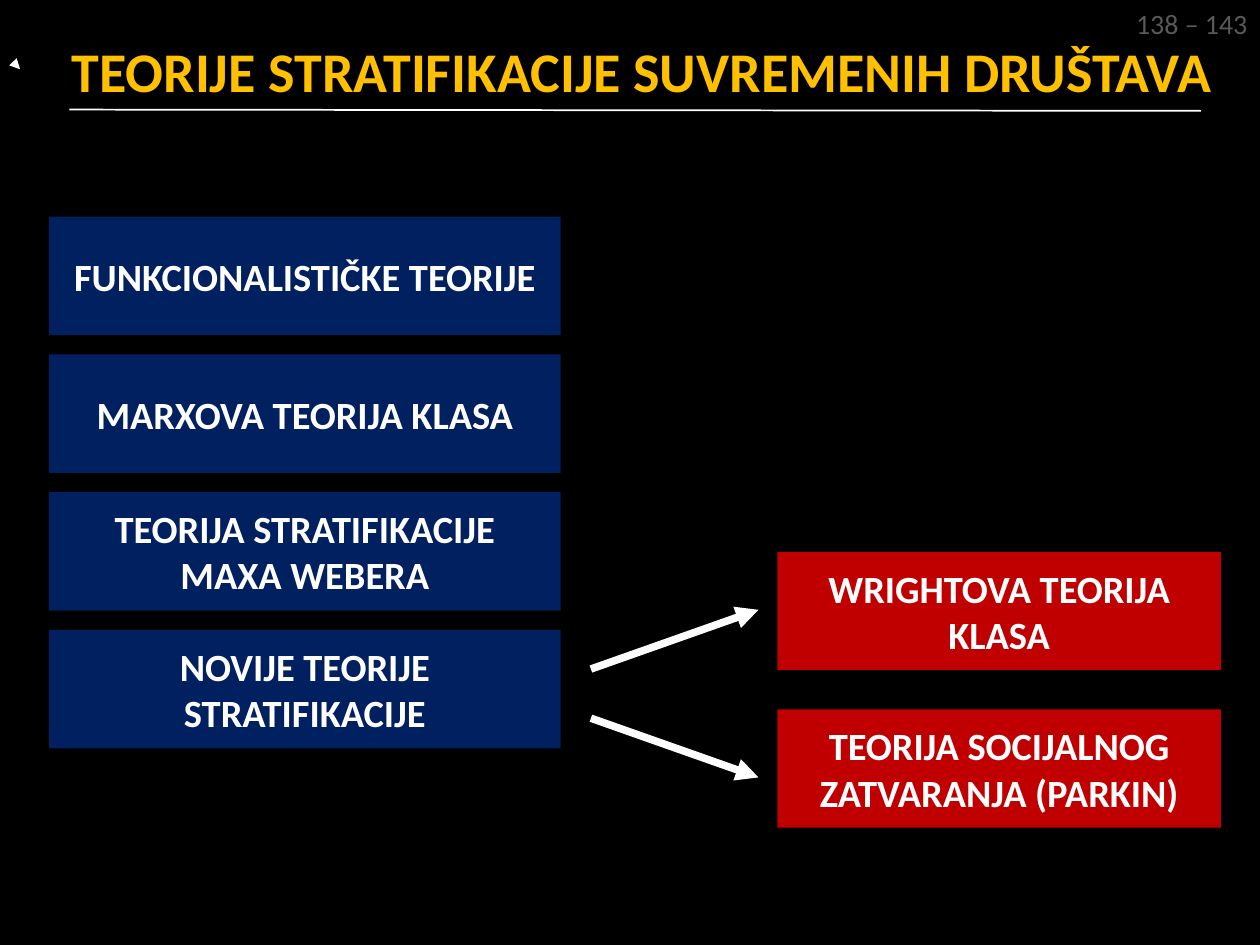
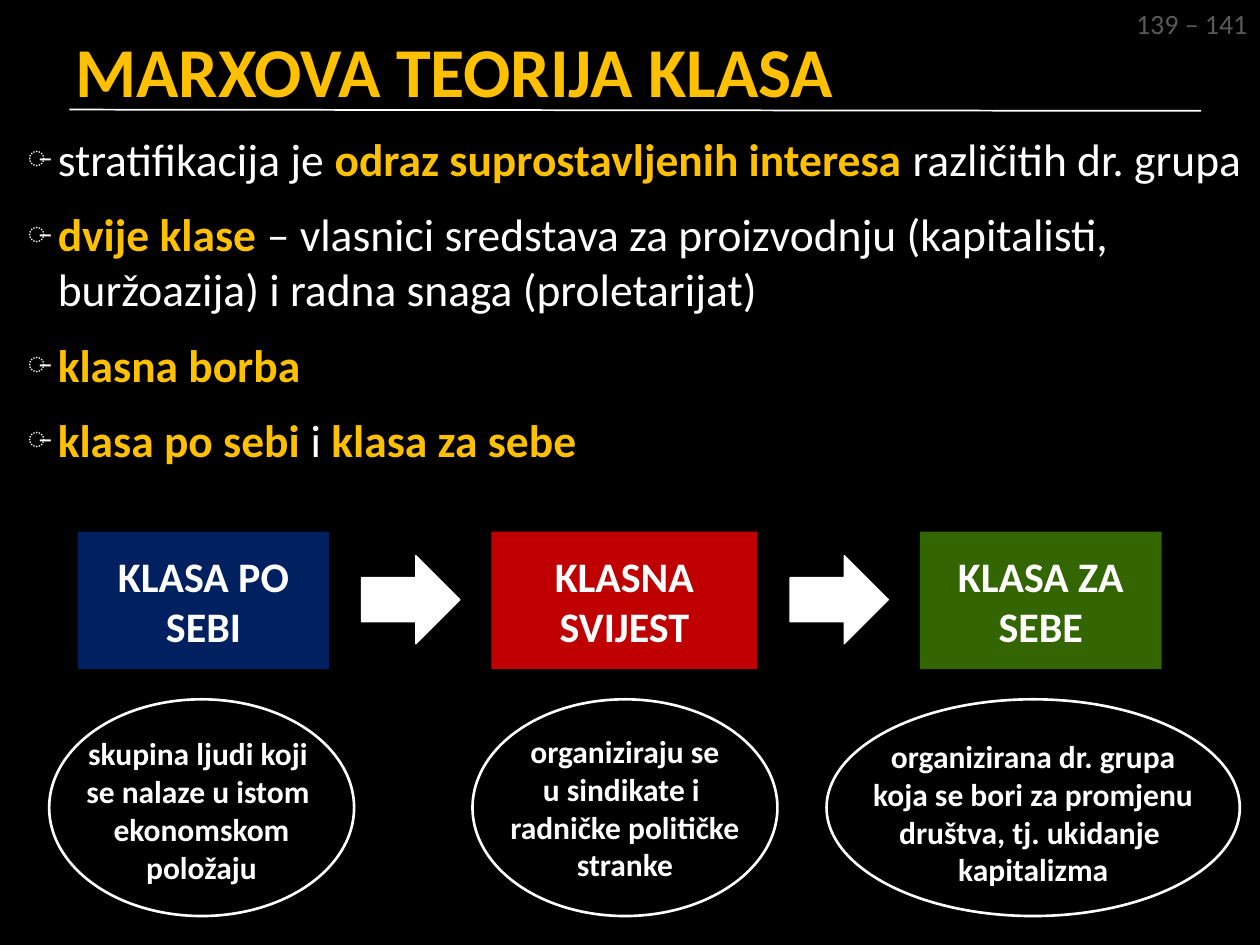
from dataclasses import dataclass
from typing import Any, NamedTuple

from lxml.etree import SubElement
from pptx import Presentation
from pptx.dml.color import RGBColor
from pptx.enum.shapes import MSO_CONNECTOR as Link, MSO_SHAPE as Kind
from pptx.enum.text import MSO_ANCHOR as Anchor, PP_ALIGN as Align
from pptx.oxml.ns import qn
from pptx.util import Inches, Pt


@dataclass(frozen=True)
class Theme:
    font: str = "Calibri"
    black: str = "000000"
    white: str = "FFFFFF"
    gold: str = "FFC000"
    gray: str = "595959"
    blue: str = "002060"
    red: str = "C00000"
    green: str = "336600"
    page: int = 16
    note: int = 18
    label: int = 22
    stage: int = 24
    body: int = 26
    head: int = 32
    title: int = 40


THEME = Theme()


class Box(NamedTuple):
    left: float
    top: float
    width: float
    height: float

    def size(self) -> list[int]:
        return [Inches(side) for side in self]


class Run(NamedTuple):
    text: str
    hot: bool = False


class Stage(NamedTuple):
    name: str
    left: float
    width: float
    color: str
    oval: Box
    wide: float
    top: float
    lines: list[str]


def tint(name: str) -> RGBColor:
    return RGBColor.from_string(name)


# Text
def add_dash(para: Any) -> None:
    props = para._p.get_or_add_pPr()
    props.set("marL", str(Inches(0.24)))
    props.set("indent", str(-Inches(0.24)))
    color = SubElement(props, qn("a:buClr"))
    SubElement(color, qn("a:srgbClr"), val=THEME.white)
    SubElement(props, qn("a:buSzPct"), val="68000")
    SubElement(props, qn("a:buFont"), typeface=THEME.font)
    SubElement(props, qn("a:buChar"), char="̶")


def write(shape: Any, lines: list[list[Run]], *, size: int,
          color: str = THEME.white, bold: bool = True,
          align: Any = Align.CENTER, anchor: Any = Anchor.MIDDLE,
          wrap: bool = True, dash: bool = False, gap: int = 0) -> None:
    frame = shape.text_frame
    frame.word_wrap = wrap
    frame.vertical_anchor = anchor
    for num, runs in enumerate(lines):
        para = frame.add_paragraph() if num else frame.paragraphs[0]
        para.alignment = align
        if num and gap:
            para.space_before = Pt(gap)
        if dash:
            add_dash(para)
        for text, hot in runs:
            run = para.add_run()
            run.text = text
            font = run.font
            font.name, font.size, font.bold = THEME.font, Pt(size), bold or hot
            font.color.rgb = tint(THEME.gold if hot else color)


def add_text(shapes: Any, box: Box, lines: list[list[Run]], **style: Any) -> None:
    write(shapes.add_textbox(*box.size()), lines, **style)


# Shapes and lines
def add_form(shapes: Any, kind: Any, box: Box, fill: str = "",
             line: str = "", width: float = 1.5) -> Any:
    shape = shapes.add_shape(kind, *box.size())
    shape.shadow.inherit = False
    if fill:
        shape.fill.solid()
        shape.fill.fore_color.rgb = tint(fill)
    else:
        shape.fill.background()
    if line:
        shape.line.color.rgb = tint(line)
        shape.line.width = Pt(width)
    else:
        shape.line.fill.background()
    return shape


def add_label(shapes: Any, box: Box, text: str, fill: str, size: int) -> None:
    write(add_form(shapes, Kind.RECTANGLE, box, fill), [[Run(text)]], size=size)


def add_line(shapes: Any, start: tuple[float, float], end: tuple[float, float],
             width: float, head: bool = False) -> None:
    ends = [Inches(place) for place in (*start, *end)]
    link = shapes.add_connector(Link.STRAIGHT, *ends)
    link.line.color.rgb = tint(THEME.white)
    link.line.width = Pt(width)
    if head:
        SubElement(link.line._get_or_add_ln(), qn("a:tailEnd"), type="triangle")
    SubElement(link._element.spPr, qn("a:effectLst"))


# Shared frame: background, rule, title and page range
def add_slide(deck: Any, title: str, size: int, left: float, pages: str) -> Any:
    slide = deck.slides.add_slide(deck.slide_layouts[6])
    slide.background.fill.solid()
    slide.background.fill.fore_color.rgb = tint(THEME.black)
    shapes = slide.shapes
    add_line(shapes, (0.55, 0.87), (9.53, 0.88), 1)
    add_text(shapes, Box(left, 0.08, 9.5, 0.95), [[Run(title, True)]],
             size=size, align=Align.LEFT)
    add_text(shapes, Box(8.9, 0, 1.1, 0.37), [[Run(pages)]], size=THEME.page,
             color=THEME.gray, bold=False, align=Align.RIGHT,
             anchor=Anchor.TOP, wrap=False)
    return shapes


def add_theories(deck: Any) -> None:
    shapes = add_slide(deck, "TEORIJE STRATIFIKACIJE SUVREMENIH DRUŠTAVA",
                       THEME.head, 0.47, "138 – 143")
    main = ["FUNKCIONALISTIČKE TEORIJE", "MARXOVA TEORIJA KLASA",
            "TEORIJA STRATIFIKACIJE MAXA WEBERA",
            "NOVIJE TEORIJE STRATIFIKACIJE"]
    step = (5 - 1.72) / 3
    for num, text in enumerate(main):
        add_label(shapes, Box(0.39, 1.72 + num * step, 4.06, 0.94), text,
                  THEME.blue, THEME.label)
    newer = ["WRIGHTOVA TEORIJA KLASA", "TEORIJA SOCIJALNOG ZATVARANJA (PARKIN)"]
    for num, text in enumerate(newer):
        add_label(shapes, Box(6.17, 4.38 + num * 1.25, 3.52, 0.94), text,
                  THEME.red, THEME.label)
    # Arrows to the newer theories, and the small marker by the title
    for start, end in ((5.31, 4.84), (5.7, 6.17)):
        add_line(shapes, (4.69, start), (6.02, end), 4.31, head=True)
    add_line(shapes, (0.15, 0.54), (0.16, 0.55), 1.5, head=True)


POINTS = [
    [Run("stratifikacija je "), Run("odraz suprostavljenih interesa ", True),
     Run("različitih dr. grupa")],
    [Run("dvije klase ", True),
     Run("– vlasnici sredstava za proizvodnju (kapitalisti, buržoazija) "
         "i radna snaga (proletarijat)")],
    [Run("klasna borba", True)],
    [Run("klasa po sebi ", True), Run("i "), Run("klasa za sebe", True)],
]

STAGES = [
    Stage("KLASA PO SEBI", 0.62, 1.99, THEME.blue,
          Box(0.39, 5.55, 2.42, 1.72), 2.58, 5.78,
          ["skupina ljudi koji ", "se nalaze u istom ", "ekonomskom",
           "položaju"]),
    Stage("KLASNA SVIJEST", 3.9, 2.11, THEME.red,
          Box(3.75, 5.55, 2.42, 1.72), 2.73, 5.76,
          ["organiziraju se", "u sindikate i ", "radničke političke",
           "stranke"]),
    Stage("KLASA ZA SEBE", 7.3, 1.92, THEME.green,
          Box(6.56, 5.55, 3.28, 1.72), 3.59, 5.8,
          ["organizirana dr. grupa", "koja se bori za promjenu",
           "društva, tj. ukidanje ", "kapitalizma"]),
]


def add_marx(deck: Any) -> None:
    shapes = add_slide(deck, "MARXOVA TEORIJA KLASA", THEME.title, 0.5,
                       "139 – 141")
    add_text(shapes, Box(0.12, 0.99, 9.88, 2.83), POINTS, size=THEME.body,
             bold=False, align=Align.LEFT, anchor=Anchor.TOP, dash=True, gap=12)
    # Stages, each with an oval note below
    for stage in STAGES:
        add_label(shapes, Box(stage.left, 4.22, stage.width, 1.09), stage.name,
                  stage.color, THEME.stage)
        group = shapes.add_group_shape().shapes
        mid = stage.oval.left + stage.oval.width / 2
        add_text(group, Box(mid - stage.wide / 2, stage.top, stage.wide, 1.31),
                 [[Run(line)] for line in stage.lines], size=THEME.note,
                 anchor=Anchor.TOP)
        add_form(group, Kind.OVAL, stage.oval, line=THEME.white)
    # Block arrows between stages
    for stage in STAGES[:-1]:
        left = stage.left + stage.width + 0.26
        add_form(shapes, Kind.RIGHT_ARROW, Box(left, 4.41, 0.78, 0.7),
                 THEME.white, THEME.white, 0.75)


def main() -> None:
    deck = Presentation()
    deck.slide_width, deck.slide_height = Inches(10), Inches(7.5)
    add_theories(deck)
    add_marx(deck)
    deck.save("out.pptx")


if __name__ == "__main__":
    main()
